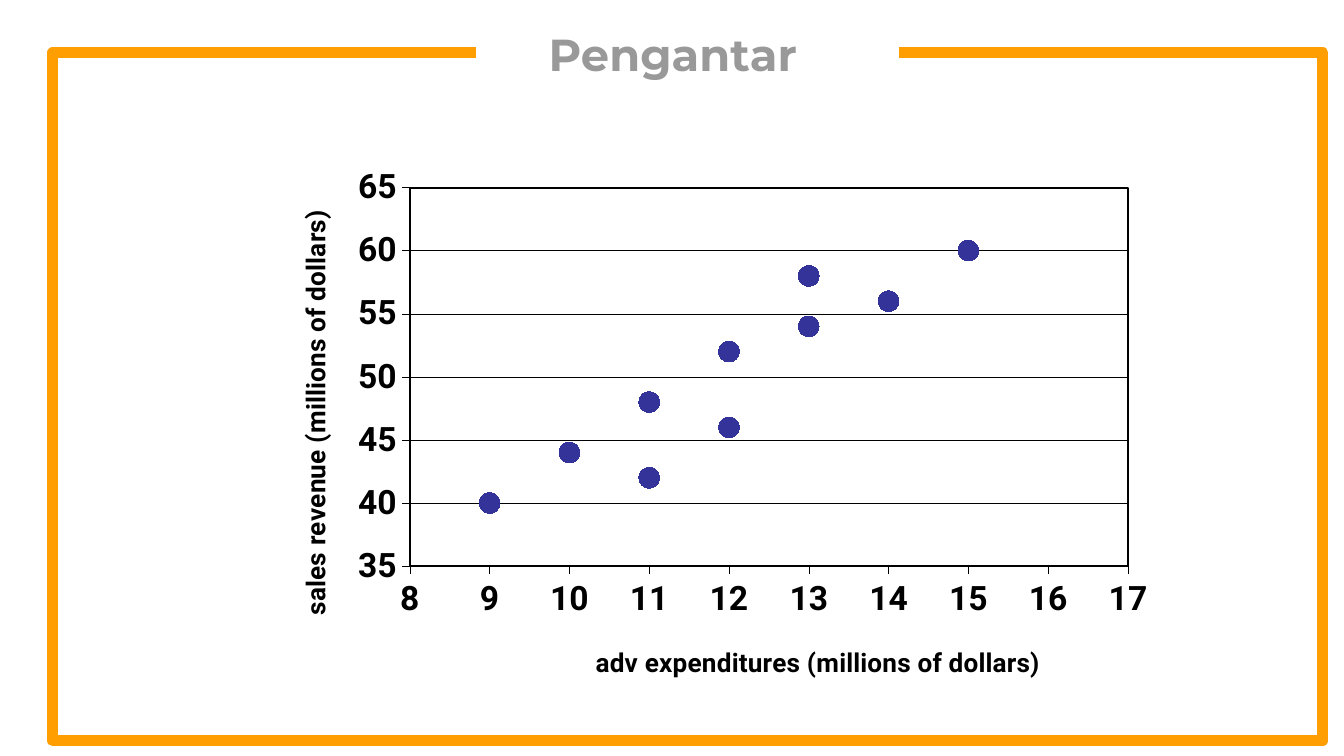
"""Build the Pengantar slide: a framed scatter chart of sales against advertising."""
from dataclasses import dataclass

import lxml.etree
import pptx
import pptx.chart.axis
import pptx.chart.data
import pptx.dml.color
import pptx.enum.chart
import pptx.enum.text
import pptx.oxml
import pptx.oxml.ns
import pptx.util
from pptx.util import Cm

BLACK, ORANGE, GREY, BLUE = "000000", "FF9E00", "999999", "333399"
FRAME = [(8.64, 0.76), (0.71, 0.76), (0.71, 13.54), (24.69, 13.54), (24.69, 0.76), (16.79, 0.76)]
POINTS = [(10, 44), (9, 40), (11, 42), (12, 46), (11, 48),
          (12, 52), (13, 54), (13, 58), (14, 56), (15, 60)]


@dataclass(frozen=True)
class AxisSpec:
    """Title, scale and title position of one axis."""
    title: str
    low: float
    high: float
    step: float
    x: float
    y: float


HORIZONTAL = AxisSpec("adv expenditures (millions of dollars)", 8, 17, 1, 0.39, 0.89)
VERTICAL = AxisSpec("sales revenue (millions of dollars)", 35, 65, 5, 0.07, 0.1)


def rgb(color: str) -> pptx.dml.color.RGBColor:
    """Turn a hex string into a colour."""
    return pptx.dml.color.RGBColor.from_string(color)


def set_line(line, color: str, width: float) -> None:
    """Give a line its colour and width in points."""
    line.color.rgb = rgb(color)
    line.width = pptx.util.Pt(width)


def set_font(font, name: str, size: float, color: str) -> None:
    """Format a font in bold."""
    font.name, font.size, font.bold = name, pptx.util.Pt(size), True
    font.color.rgb = rgb(color)


def set_layout(parent, index: int, **values) -> None:
    """Set the manual layout of a chart part."""
    qn = pptx.oxml.ns.qn
    for old in parent.findall(qn("c:layout")):
        parent.remove(old)
    layout = pptx.oxml.parse_xml(f"<c:layout {pptx.oxml.ns.nsdecls('c')}><c:manualLayout/></c:layout>")
    for tag, value in values.items():
        lxml.etree.SubElement(layout[0], qn(f"c:{tag}")).set("val", str(value))
    parent.insert(index, layout)


def format_axis(axis: pptx.chart.axis.ValueAxis, spec: AxisSpec) -> None:
    """Scale, title and style one axis."""
    axis.minimum_scale, axis.maximum_scale, axis.major_unit = spec.low, spec.high, spec.step
    axis.major_tick_mark = pptx.enum.chart.XL_TICK_MARK.OUTSIDE
    axis.minor_tick_mark = pptx.enum.chart.XL_TICK_MARK.NONE
    set_font(axis.tick_labels.font, "Roboto", 18, BLACK)
    set_line(axis.format.line, BLACK, 0.25)
    r = axis.axis_title.text_frame.paragraphs[0].add_run()
    r.text = spec.title
    set_font(r.font, "Roboto", 14, BLACK)
    set_layout(axis.axis_title._element, 1, xMode="edge", yMode="edge", x=spec.x, y=spec.y)


def add_title(s, text: str) -> None:
    """Fill and place the title placeholder."""
    sp = s.shapes.title
    sp.left, sp.top, sp.width, sp.height = Cm(9.02), Cm(0.25), Cm(7.39), Cm(2.03)
    tf = sp.text_frame
    tf.margin_left = tf.margin_right = tf.margin_top = tf.margin_bottom = Cm(0.25)
    tf.vertical_anchor = pptx.enum.text.MSO_ANCHOR.TOP
    p = tf.paragraphs[0]
    p.alignment = pptx.enum.text.PP_ALIGN.CENTER
    r = p.add_run()
    r.text = text
    set_font(r.font, "Montserrat", 24, GREY)


def add_frame(s) -> None:
    """Draw the open frame around the slide."""
    builder = s.shapes.build_freeform(*FRAME[0], scale=Cm(1))
    builder.add_line_segments(FRAME[1:], close=False)
    sp = builder.convert_to_shape()
    sp.shadow.inherit = False
    sp.fill.background()
    set_line(sp.line, ORANGE, 6)


def add_scatter(s) -> None:
    """Add the scatter chart."""
    data = pptx.chart.data.XyChartData()
    series_data = data.add_series("Series 1")
    for x, y in POINTS:
        series_data.add_data_point(x, y)
    chart = s.shapes.add_chart(pptx.enum.chart.XL_CHART_TYPE.XY_SCATTER, Cm(4.29), Cm(2.84),
                               Cm(17.63), Cm(10.39), data).chart
    chart.has_legend = chart.has_title = False
    set_font(chart.font, "Roboto", 18, BLACK)
    chart.plots[0].vary_by_categories = False
    series = chart.plots[0].series[0]
    series.smooth = False
    series.format.line.fill.background()
    series.marker.style = pptx.enum.chart.XL_MARKER_STYLE.CIRCLE
    series.marker.size = 11
    series.marker.format.fill.solid()
    series.marker.format.fill.fore_color.rgb = rgb(BLUE)
    set_line(series.marker.format.line, BLUE, 0.75)
    format_axis(chart.category_axis, HORIZONTAL)
    format_axis(chart.value_axis, VERTICAL)
    chart.category_axis.has_major_gridlines = False
    chart.value_axis.has_major_gridlines = True
    set_line(chart.value_axis.major_gridlines.format.line, BLACK, 0.25)
    area = chart._chartSpace.chart.plotArea
    set_layout(area, 0, layoutTarget="inner", xMode="edge", yMode="edge",
               x=0.196, y=0.068, w=0.77, h=0.689)
    area.append(pptx.oxml.parse_xml(
        f'<c:spPr {pptx.oxml.ns.nsdecls("c", "a")}><a:noFill/><a:ln w="12700"><a:solidFill>'
        f'<a:srgbClr val="{BLACK}"/></a:solidFill></a:ln></c:spPr>'))


def main() -> None:
    """Build and save the slide."""
    prs = pptx.Presentation()
    prs.slide_width, prs.slide_height = Cm(25.4), Cm(14.29)
    s = prs.slides.add_slide(prs.slide_layouts[5])
    add_frame(s)
    add_title(s, "Pengantar")
    add_scatter(s)
    prs.save("out.pptx")


if __name__ == "__main__":
    main()
